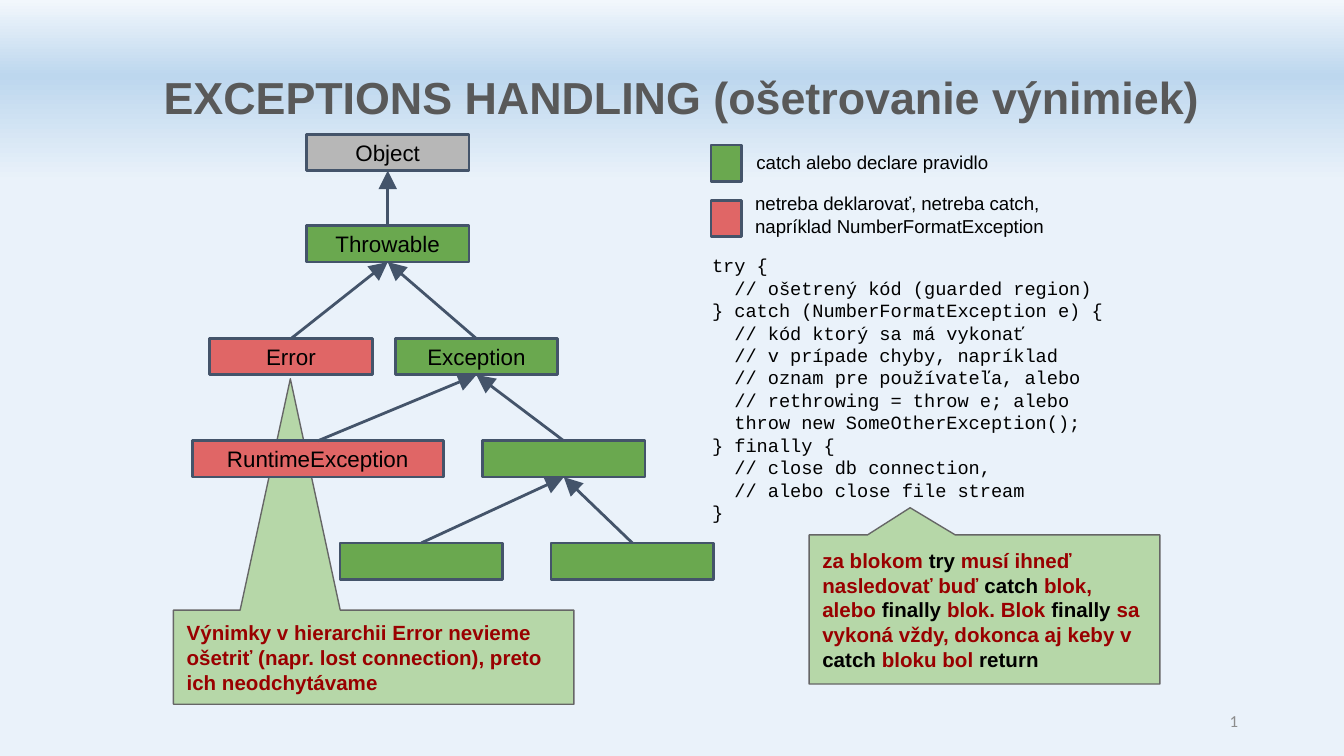
from copy import deepcopy

from lxml import etree
from pptx import Presentation
from pptx.dml.color import RGBColor
from pptx.enum import shapes, text
from pptx.oxml import ns
from pptx.util import Inches, Pt

COLORS = {
    "green": "6AA84F", "red": "E06666", "gray": "B7B7B7", "outline": "44546A",
    "callout": "B6D7A8", "callout_line": "666666", "warning": "990000",
    "black": "000000", "title": "595959", "number": "8C8C8C",
}
SKY = [(0, "F2F7FC"), (0.10, "BDD7EE"), (0.24, "EAF2FA")]
TITLE = "EXCEPTIONS HANDLING (ošetrovanie výnimiek)"

# key: (label, left, top, width, color)
CLASSES = {
    "object": ("Object", 2.28, 1.00, 1.21, "gray"),
    "throwable": ("Throwable", 2.28, 1.68, 1.21, "green"),
    "error": ("Error", 1.56, 2.52, 1.21, "red"),
    "exception": ("Exception", 2.94, 2.52, 1.21, "green"),
    "runtime": ("RuntimeException", 1.43, 3.28, 1.87, "red"),
    "checked": ("", 3.59, 3.28, 1.21, "green"),
    "checked_left": ("", 2.53, 4.04, 1.21, "green"),
    "checked_right": ("", 4.10, 4.04, 1.21, "green"),
}
PARENTS = [
    ("throwable", "object"), ("error", "throwable"), ("exception", "throwable"),
    ("runtime", "exception"), ("checked", "exception"),
    ("checked_left", "checked"), ("checked_right", "checked"),
]
BOX_HEIGHT = 0.27

# swatch top, color, text, text place
LEGEND = [
    (1.08, "green", "catch alebo declare pravidlo", (5.53, 1.04, 2.79, 0.33)),
    (1.49, "red", "netreba deklarovať, netreba catch, napríklad NumberFormatException",
     (5.52, 1.33, 2.79, 0.57)),
]
CODE = """try {
  // ošetrený kód (guarded region)
} catch (NumberFormatException e) {
  // kód ktorý sa má vykonať
  // v prípade chyby, napríklad
  // oznam pre používateľa, alebo
  // rethrowing = throw e; alebo
  throw new SomeOtherException();
} finally {
  // close db connection,
  // alebo close file stream
}""".split("\n")

ERROR_NOTE = ["Výnimky v hierarchii Error nevieme ošetriť (napr. lost connection), "
              "preto ich neodchytávame"]
# plain words and keywords take turns
TRY_NOTE = ["za blokom ", "try ", "musí ihneď nasledovať buď ", "catch ",
            "blok, alebo ", "finally ", "blok. Blok ", "finally ",
            "sa vykoná vždy, dokonca aj keby v ", "catch ", "bloku bol ", "return"]


def rgb(name):
    """Return a named color."""
    return RGBColor.from_string(COLORS[name])


def paint_background(page):
    """Fill the page with a vertical gradient."""
    fill = page.background.fill
    fill.gradient()
    fill.gradient_angle = 270
    last = page.element.xpath(".//a:gs")[-1]
    last.addnext(deepcopy(last))
    for stop, (position, color) in zip(fill.gradient_stops, SKY):
        stop.position = position
        stop.color.rgb = RGBColor.from_string(color)


def style(para, size, color="black", name="Arial", bold=False, align=text.PP_ALIGN.LEFT):
    """Set the font and alignment of a paragraph."""
    font = para.font
    font.name, font.size, font.bold = name, Pt(size), bold
    font.color.rgb = rgb(color)
    para.alignment = align


def set_frame(frame, anchor, inset=0.1):
    """Set wrapping, anchor and insets of a text frame."""
    frame.word_wrap = True
    frame.vertical_anchor = anchor
    frame.margin_left = frame.margin_right = Inches(inset)
    frame.margin_top = frame.margin_bottom = Inches(inset)


def add_shape(page, kind, place, fill, line, width):
    """Add a filled and outlined shape."""
    shape = page.shapes.add_shape(kind, *map(Inches, place))
    shape.shadow.inherit = False
    shape.fill.solid()
    shape.fill.fore_color.rgb = rgb(fill)
    shape.line.color.rgb = rgb(line)
    shape.line.width = Pt(width)
    set_frame(shape.text_frame, text.MSO_ANCHOR.MIDDLE)
    return shape


def add_box(page, place, fill, label=""):
    """Add a rectangle of the class tree or the legend."""
    box = add_shape(page, shapes.MSO_SHAPE.RECTANGLE, place, fill, "outline", 1.5)
    if label:
        para = box.text_frame.paragraphs[0]
        para.text = label
        style(para, 12, align=text.PP_ALIGN.CENTER)
    return box


def add_text(page, place, lines, size, anchor=text.MSO_ANCHOR.TOP, **look):
    """Add a text box with one paragraph for each line."""
    box = page.shapes.add_textbox(*map(Inches, place))
    frame = box.text_frame
    set_frame(frame, anchor)
    frame.text = "\n".join(lines)
    for para in frame.paragraphs:
        style(para, size, **look)
    return box


def add_callout(page, place, tip, words):
    """Add a callout whose every second piece of text is a black keyword."""
    callout = add_shape(page, shapes.MSO_SHAPE.RECTANGULAR_CALLOUT, place,
                        "callout", "callout_line", 0.75)
    callout.adjustments[0], callout.adjustments[1] = tip
    para = callout.text_frame.paragraphs[0]
    style(para, 11, "warning", bold=True)
    for index, word in enumerate(words):
        span = para.add_run()
        span.text = word
        span.font.color.rgb = rgb("black" if index % 2 else "warning")


def add_arrow(page, child, parent):
    """Join the top of a child to the bottom of its parent."""
    arrow = page.shapes.add_connector(shapes.MSO_CONNECTOR.STRAIGHT, 0, 0, 0, 0)
    arrow.begin_connect(child, 0)
    arrow.end_connect(parent, 2)
    arrow.line.color.rgb = rgb("outline")
    arrow.line.width = Pt(1.5)
    outline = arrow.line._get_or_add_ln()
    etree.SubElement(outline, ns.qn("a:tailEnd"), type="triangle", w="lg", len="lg")
    etree.SubElement(outline.getparent(), ns.qn("a:effectLst"))


deck = Presentation()
deck.slide_width = Inches(10)
deck.slide_height = deck.slide_width * 9 // 16
page = deck.slides.add_slide(deck.slide_layouts[6])
paint_background(page)

add_callout(page, (1.29, 4.54, 2.98, 0.7), (-0.208, -2.959), ERROR_NOTE)

boxes = {key: add_box(page, (left, top, width, BOX_HEIGHT), color, label)
         for key, (label, left, top, width, color) in CLASSES.items()}
for child, parent in PARENTS:
    add_arrow(page, boxes[child], boxes[parent])

for top, color, label, place in LEGEND:
    add_box(page, (5.29, top, 0.23, BOX_HEIGHT), color)
    add_text(page, place, [label], 10)

add_text(page, (5.2, 1.79, 3.14, 2.19), CODE, 10, name="Courier New")
add_callout(page, (6.02, 3.98, 2.61, 1.11), (-0.212, -0.682), TRY_NOTE)

add_text(page, (7.06, 5.21, 2.25, 0.3), ["1"], 9, text.MSO_ANCHOR.MIDDLE,
         color="number", name="Calibri", align=text.PP_ALIGN.RIGHT)
title = add_text(page, (0.96, 0.36, 8.22, 0.58), [TITLE], 24,
                 color="title", bold=True, align=text.PP_ALIGN.CENTER)
title.text_frame.paragraphs[0].line_spacing = 1.15

deck.save("out.pptx")
